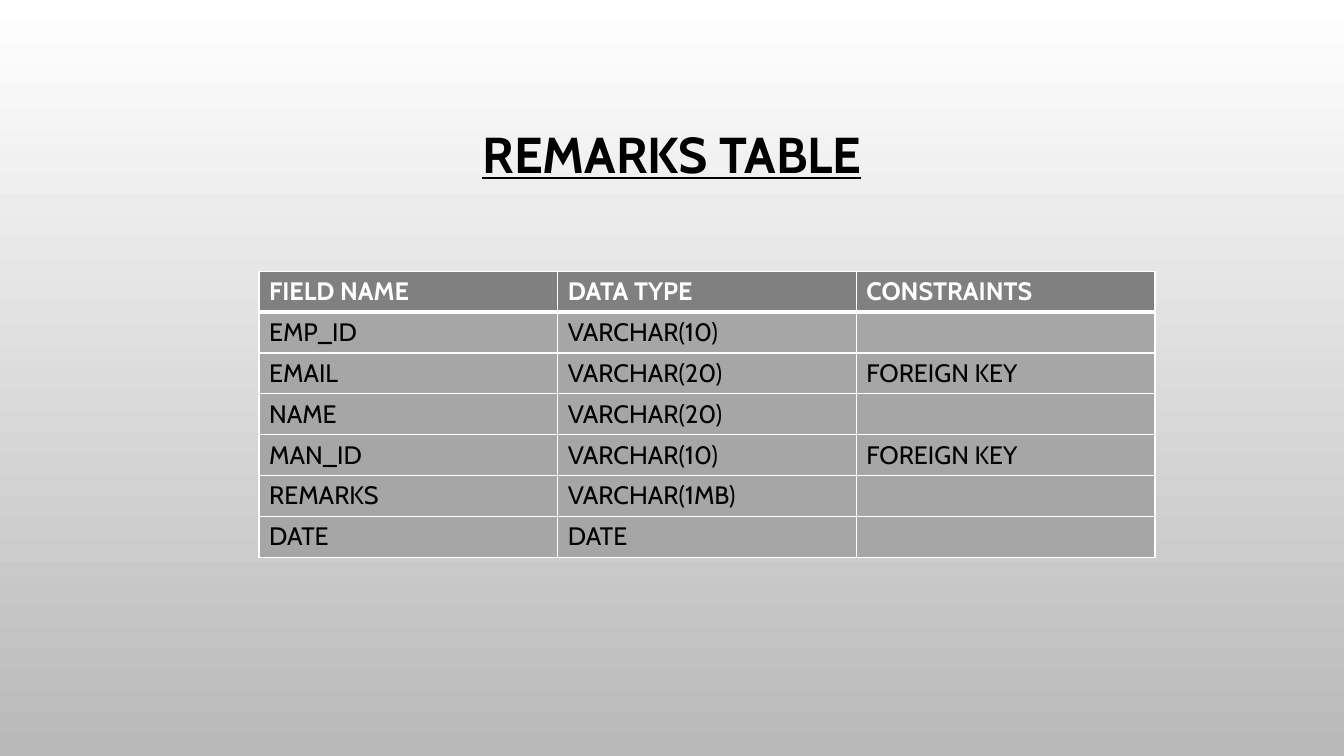
from dataclasses import dataclass

from lxml import etree
from pptx import Presentation
from pptx.dml.color import RGBColor
from pptx.enum.text import MSO_ANCHOR, PP_ALIGN
from pptx.oxml.ns import qn
from pptx.util import Inches, Pt

MIDDLE = MSO_ANCHOR.MIDDLE
CENTER = PP_ALIGN.CENTER
GRID_COLUMNS, GRID_ROWS = 120, 75


@dataclass(frozen=True)
class Theme:
    """Colours, font, type sizes and line widths of the slide."""
    font: str = "Cabin"
    ink: str = "000000"
    white: str = "FFFFFF"
    backdrop_end: str = "B9B9B9"
    header_fill: str = "808080"
    body_fill: str = "A6A6A6"
    title_size: int = 36
    table_size: int = 18
    rule: int = 1
    header_rule: int = 3


class SlideBuilder:
    """Places styled elements on one slide by grid columns and rows."""

    def __init__(self, presentation, theme):
        """Add a blank slide and derive its grid units."""
        self.theme = theme
        self.slide = presentation.slides.add_slide(presentation.slide_layouts[6])
        self.column = presentation.slide_width / GRID_COLUMNS
        self.row = presentation.slide_height / GRID_ROWS

    def place(self, left, top, width, height):
        """Turn grid units into slide lengths."""
        return (round(left * self.column), round(top * self.row),
                round(width * self.column), round(height * self.row))

    def add_text(self, paragraph, text, size, color, **formats):
        """Add a run and apply its font format values."""
        run = paragraph.add_run()
        run.text = text
        values = {"name": self.theme.font, "size": Pt(size), **formats}
        for attribute, value in values.items():
            setattr(run.font, attribute, value)
        run.font.color.rgb = RGBColor.from_string(color)

    def backdrop(self, *colors):
        """Fill the background with a gradient from top to bottom."""
        fill = self.slide.background.fill
        fill.gradient()
        fill.gradient_angle = 270
        for stop, color in zip(fill.gradient_stops, colors):
            stop.color.rgb = RGBColor.from_string(color)

    def title(self, text, *box):
        """Add the centred, underlined heading."""
        frame = self.slide.shapes.add_textbox(*self.place(*box)).text_frame
        frame.word_wrap = True
        frame.vertical_anchor = MIDDLE
        heading = frame.paragraphs[0]
        heading.alignment = CENTER
        heading.line_spacing = 0.9
        self.add_text(heading, text, self.theme.title_size, self.theme.ink,
                      bold=True, underline=True)

    def borders(self, cell, top, bottom):
        """Draw the four white edges of a cell."""
        properties = cell._tc.get_or_add_tcPr()
        widths = {"L": self.theme.rule, "R": self.theme.rule, "T": top, "B": bottom}
        for side, width in widths.items():
            line = etree.SubElement(properties, qn(f"a:ln{side}"), w=str(Pt(width)))
            fill = etree.SubElement(line, qn("a:solidFill"))
            etree.SubElement(fill, qn("a:srgbClr"), val=self.theme.white)

    def table(self, records, *box):
        """Add a table whose first record is the header."""
        theme = self.theme
        grid = self.slide.shapes.add_table(
            len(records), len(records[0]), *self.place(*box)).table
        for row_index, record in enumerate(records):
            is_header = row_index == 0
            top = theme.header_rule if row_index == 1 else theme.rule
            bottom = theme.header_rule if is_header else theme.rule
            color = theme.white if is_header else theme.ink
            shade = theme.header_fill if is_header else theme.body_fill
            for column_index, text in enumerate(record):
                cell = grid.cell(row_index, column_index)
                self.borders(cell, top, bottom)
                cell.fill.solid()
                cell.fill.fore_color.rgb = RGBColor.from_string(shade)
                if text:
                    self.add_text(cell.text_frame.paragraphs[0], text,
                                  theme.table_size, color, bold=is_header)


REMARKS_FIELDS = [
    ("FIELD NAME", "DATA TYPE", "CONSTRAINTS"),
    ("EMP_ID", "VARCHAR(10)", ""),
    ("EMAIL", "VARCHAR(20)", "FOREIGN KEY"),
    ("NAME", "VARCHAR(20)", ""),
    ("MAN_ID", "VARCHAR(10)", "FOREIGN KEY"),
    ("REMARKS", "VARCHAR(1MB)", ""),
    ("DATE", "DATE", ""),
]


def main():
    """Build and save the remarks table slide."""
    presentation = Presentation()
    presentation.slide_width = Inches(13.33)
    presentation.slide_height = Inches(7.5)
    theme = Theme()
    builder = SlideBuilder(presentation, theme)
    builder.backdrop(theme.white, theme.backdrop_end)
    builder.title("REMARKS TABLE", 9, 6.8, 102, 17.5)
    builder.table(REMARKS_FIELDS, 23.13, 26.9, 80, 28.4)
    presentation.save("out.pptx")


main()
